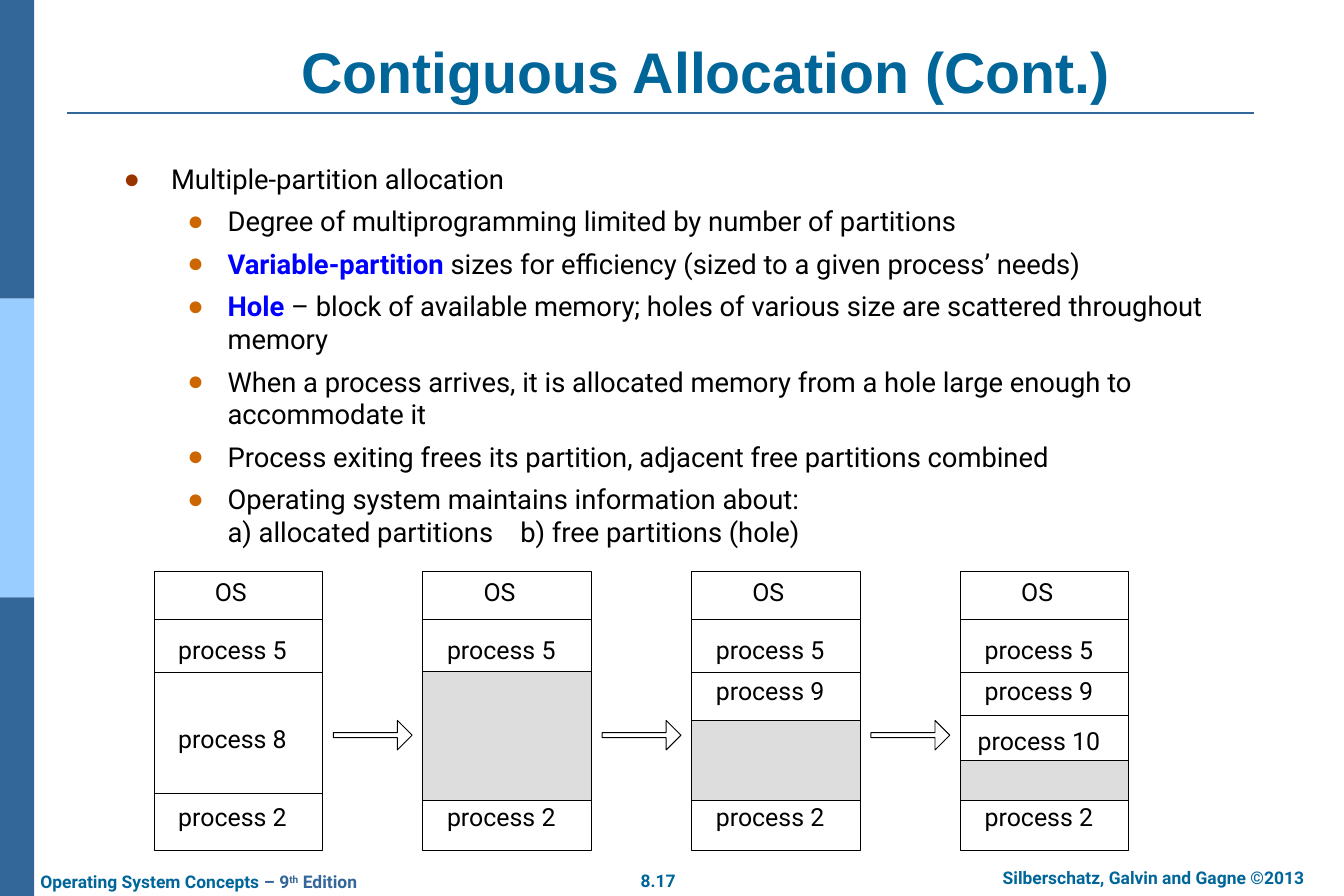
import pptx
import pptx.dml.color
import pptx.enum.shapes
import pptx.enum.text
import pptx.oxml.xmlchemy
import pptx.util

Inches = pptx.util.Inches
Pt = pptx.util.Pt
ALIGN = pptx.enum.text.PP_ALIGN
ANCHOR = pptx.enum.text.MSO_ANCHOR
SHAPE = pptx.enum.shapes.MSO_SHAPE
new_element = pptx.oxml.xmlchemy.OxmlElement

COLORS = {
    "bar": "336699",
    "bar_light": "99CCFF",
    "heading": "006699",
    "text": "000000",
    "term": "0000FF",
    "bullet": "993300",
    "sub_bullet": "CC6600",
    "hole": "DDDDDD",
    "white": "FFFFFF",
}

# Key term, rest of the line; a vertical tab breaks the line
POINTS = [
    ("", "Degree of multiprogramming limited by number of partitions"),
    ("Variable-partition ", "sizes for efficiency (sized to a given process’ needs)"),
    ("Hole", " – block of available memory; holes of various size are "
             "scattered throughout memory"),
    ("", "When a process arrives, it is allocated memory from a hole large "
         "enough to accommodate it"),
    ("", "Process exiting frees its partition, adjacent free partitions combined"),
    ("", "Operating system maintains information about:\v"
         "a) allocated partitions    b) free partitions (hole)"),
]

# Memory states: processes with the top of their label, and top of the hole
MEMORY_STATES = [
    ({"process 8": 8.0}, None),
    ({}, 7.49),
    ({"process 9": 7.47}, 8.04),
    ({"process 9": 7.47, "process 10": 8.02}, 8.49),
]
FIRST_LEFT, STATE_STEP, STATE_WIDTH = 1.72, 3, 1.88
HOLE_BOTTOM = 8.93


def rgb(color):
    return pptx.dml.color.RGBColor.from_string(COLORS[color])


def style_run(run, size, color, bold=False, font="Roboto"):
    run.font.name = font
    run.font.size = Pt(size)
    run.font.bold = bold
    run.font.color.rgb = rgb(color)


def add_block(slide, left, top, width, height, fill, outlined=True, kind=SHAPE.RECTANGLE):
    block = slide.shapes.add_shape(
        kind, Inches(left), Inches(top), Inches(width), Inches(height))
    block.shadow.inherit = False
    block.fill.solid()
    block.fill.fore_color.rgb = rgb(fill)
    if outlined:
        block.line.color.rgb = rgb("text")
        block.line.width = Pt(0.75)
    else:
        block.line.fill.background()
    return block


def add_rule(slide, left, right, top, color="text", weight=0.75):
    rule = slide.shapes.add_connector(
        pptx.enum.shapes.MSO_CONNECTOR.STRAIGHT,
        Inches(left), Inches(top), Inches(right), Inches(top))
    rule.line.color.rgb = rgb(color)
    rule.line.width = Pt(weight)
    rule._element.spPr.append(new_element("a:effectLst"))


def add_text_frame(slide, left, top, width, height, anchor=ANCHOR.TOP):
    frame = slide.shapes.add_textbox(
        Inches(left), Inches(top), Inches(width), Inches(height)).text_frame
    frame.word_wrap = True
    frame.vertical_anchor = anchor
    frame.margin_left = frame.margin_right = Inches(0.14)
    frame.margin_top = frame.margin_bottom = Inches(0.07)
    return frame


def add_label(slide, text, left, top, width, height, size, color="text",
              bold=False, font="Roboto", anchor=ANCHOR.MIDDLE):
    frame = add_text_frame(slide, left, top, width, height, anchor)
    frame.text = text
    frame.paragraphs[0].alignment = ALIGN.CENTER
    style_run(frame.paragraphs[0].runs[0], size, color, bold, font)


def set_bullet(paragraph, color, margin, indent):
    properties = paragraph._p.get_or_add_pPr()
    properties.set("marL", str(Inches(margin)))
    properties.set("indent", str(Inches(indent)))
    bullet_color = new_element("a:buClr")
    srgb = new_element("a:srgbClr")
    srgb.set("val", COLORS[color])
    bullet_color.append(srgb)
    bullet_font = new_element("a:buFont")
    bullet_font.set("typeface", "Arial")
    bullet = new_element("a:buChar")
    bullet.set("char", "●")
    properties.extend([bullet_color, bullet_font, bullet])


def add_frame(slide):
    # Side bar in three equal parts, and the rule below the title
    part = 10 / 3
    for row, color in enumerate(["bar", "bar_light", "bar"]):
        add_block(slide, 0, row * part, 0.38, part, color, outlined=False)
    add_rule(slide, 0.75, 14, 1.26, "bar", 1.5)


def add_footer(slide):
    add_label(slide, "8.17", 7, 9.64, 0.69, 0.38, 14, "heading", True, anchor=ANCHOR.TOP)
    add_label(slide, "Silberschatz, Galvin and Gagne ©2013",
              10.65, 9.61, 4.45, 0.38, 14, "heading", True, anchor=ANCHOR.TOP)
    book = add_text_frame(slide, 0.31, 9.65, 4.08, 0.38).paragraphs[0]
    for text, color in [("Operating System Concepts", "heading"), (" – 9", "bar"),
                        ("th", "bar"), (" Edition", "bar")]:
        run = book.add_run()
        run.text = text
        style_run(run, 14, color, bold=True)
        if text == "th":
            run.font._element.set("baseline", "30000")


def add_points(slide):
    frame = add_text_frame(slide, 1.24, 1.74, 12.75, 4.76)
    topic = frame.paragraphs[0]
    topic.text = "Multiple-partition allocation"
    style_run(topic.runs[0], 22, "text")
    set_bullet(topic, "bullet", 0.53, -0.53)
    for term, rest in POINTS:
        point = frame.add_paragraph()
        point.level = 1
        point.space_before = Pt(7.7)
        set_bullet(point, "sub_bullet", 1.16, -0.45)
        if term:
            point.text = term
            point.add_run().text = rest
        else:
            point.text = rest
        for run in point.runs:
            is_term = run.text == term
            style_run(run, 22, "term" if is_term else "text", bold=is_term)


def add_memory_state(slide, left, processes, hole_top):
    add_block(slide, left, 6.38, STATE_WIDTH, 3.11, "white")
    for top in (6.91, 7.51, 8.86):
        add_rule(slide, left, left + STATE_WIDTH, top)
    if hole_top:
        add_block(slide, left, hole_top, STATE_WIDTH, HOLE_BOTTOM - hole_top, "hole")
    if "process 10" in processes:
        add_rule(slide, left, left + STATE_WIDTH, 7.98)
    add_label(slide, "OS", left + 0.51, 6.36, 0.69, 0.48, 20)
    for process, top in {"process 5": 7.01, **processes, "process 2": 8.87}.items():
        add_label(slide, process, left, top, 1.75, 0.48, 20)


def add_memory_diagram(slide):
    for index, (processes, hole_top) in enumerate(MEMORY_STATES):
        left = FIRST_LEFT + index * STATE_STEP
        add_memory_state(slide, left, processes, hole_top)
        # Arrow from the previous state
        if index:
            arrow = add_block(slide, left - 1, 8.04, 0.88, 0.33, "white",
                              kind=SHAPE.RIGHT_ARROW)
            arrow.adjustments[0] = 0.17
            arrow.adjustments[1] = 0.5


def main():
    deck = pptx.Presentation()
    deck.slide_width, deck.slide_height = Inches(15), Inches(10)
    slide = deck.slides.add_slide(deck.slide_layouts[6])
    add_frame(slide)
    add_footer(slide)
    add_label(slide, "Contiguous Allocation (Cont.)", 1.5, 0.4, 12.75, 0.84,
              46, "heading", True, "Arial", ANCHOR.BOTTOM)
    add_points(slide)
    add_memory_diagram(slide)
    deck.save("out.pptx")


if __name__ == "__main__":
    main()
